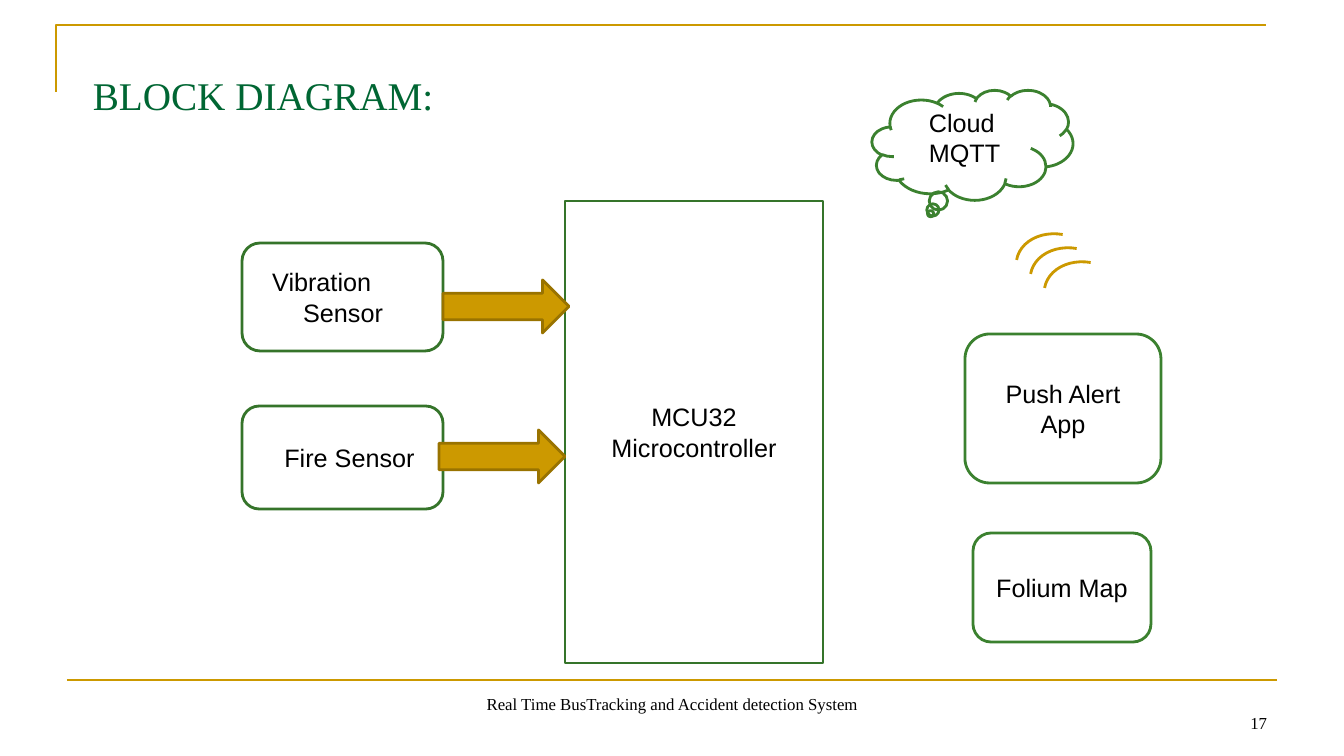
"""Build the block diagram slide of a bus tracking and accident detection system."""
from dataclasses import dataclass

from lxml import etree
from pptx import Presentation
from pptx.dml.color import RGBColor
from pptx.enum.shapes import MSO_CONNECTOR, MSO_SHAPE
from pptx.enum.text import MSO_ANCHOR, PP_ALIGN
from pptx.oxml.ns import qn
from pptx.util import Pt

SCALE = 914400 / 100.8
SLIDE_SIZE = (1344, 756)
LEFT, CENTER, RIGHT = PP_ALIGN.LEFT, PP_ALIGN.CENTER, PP_ALIGN.RIGHT
TOP, BOTTOM = MSO_ANCHOR.TOP, MSO_ANCHOR.BOTTOM


@dataclass(frozen=True)
class Theme:
    gold: str = "CC9900"
    dark_gold: str = "997300"
    green: str = "35742A"
    light_green: str = "3B812F"
    title: str = "006633"
    text: str = "000000"
    white: str = "FFFFFF"
    sans: str = "Arial"
    serif: str = "Times New Roman"
    title_size: int = 28
    label_size: int = 18
    footer_size: int = 12
    thin: float = 1.5
    thick: float = 2


THEME = Theme()
LABEL_STYLE = (THEME.sans, THEME.label_size, THEME.text)
TITLE_STYLE = (THEME.serif, THEME.title_size, THEME.title)
FOOTER_STYLE = (THEME.serif, THEME.footer_size, THEME.text)

FRAME = [(56, 92), (56, 25), (1266, 25)]
FOOTER_RULE = (67, 680, 1277, 680)

ROUNDED = MSO_SHAPE.FLOWCHART_ALTERNATE_PROCESS
BLOCKS = [
    (MSO_SHAPE.RECTANGLE, (565, 201, 258, 462), THEME.white, THEME.green,
     [("MCU32 Microcontroller", CENTER, 0)]),
    (ROUNDED, (242, 243, 201, 108), THEME.white, THEME.green,
     [("Vibration", LEFT, 15), ("Sensor", LEFT, 46)]),
    (ROUNDED, (242, 406, 201, 103), THEME.white, THEME.green,
     [("Fire Sensor", CENTER, 14)]),
    (ROUNDED, (965, 334, 196, 149), None, THEME.light_green,
     [("Push Alert", CENTER, 0), ("App", CENTER, 0)]),
    (ROUNDED, (973, 533, 178, 109), None, THEME.light_green,
     [("Folium Map", CENTER, 0)]),
    (MSO_SHAPE.CLOUD_CALLOUT, (872, 90, 201, 110), None, THEME.light_green, []),
]

ARROW_SIZE = (126, 53)
ARROW_CORNERS = [(443, 280), (439, 430)]

SIGNAL_BOX = (1024, 226, 66, 82)
SIGNAL_STEP, SIGNAL_COUNT, SIGNAL_ROTATION = 14, 3, 280

TEXTS = [
    ((83, 66, 509, 57), TOP, TITLE_STYLE, [("BLOCK DIAGRAM:", LEFT, 0)]),
    ((919, 102, 448, 48), TOP, LABEL_STYLE, [("Cloud", LEFT, 0), ("MQTT", LEFT, 0)]),
    ((460, 688, 425, 31), BOTTOM, FOOTER_STYLE,
     [("Real Time BusTracking and Accident detection System", CENTER, 0)]),
    ((964, 688, 313, 50), BOTTOM, FOOTER_STYLE, [("17", RIGHT, 0)]),
]


def px(value):
    return round(value * SCALE)


def place(box):
    return [px(value) for value in box]


def style_line(line, color, width):
    line.color.rgb = RGBColor.from_string(color)
    line.width = Pt(width)


def style_shape(shape, fill, line, width=THEME.thick):
    shape.shadow.inherit = False
    if fill:
        shape.fill.solid()
        shape.fill.fore_color.rgb = RGBColor.from_string(fill)
    else:
        shape.fill.background()
    style_line(shape.line, line, width)


def write_text(frame, lines, style, anchor):
    name, size, color = style
    frame.word_wrap = True
    frame.vertical_anchor = anchor
    for index, (text, alignment, indent) in enumerate(lines):
        paragraph = frame.add_paragraph() if index else frame.paragraphs[0]
        paragraph.alignment = alignment
        if indent:
            paragraph._p.get_or_add_pPr().set("marL", str(px(indent)))
        run = paragraph.add_run()
        run.text = text
        run.font.name = name
        run.font.size = Pt(size)
        run.font.color.rgb = RGBColor.from_string(color)


def add_rules(shapes):
    points = [(px(x), px(y)) for x, y in FRAME]
    builder = shapes.build_freeform(*points[0], scale=1.0)
    builder.add_line_segments(points[1:], close=False)
    style_shape(builder.convert_to_shape(), None, THEME.gold, THEME.thin)

    rule = shapes.add_connector(MSO_CONNECTOR.STRAIGHT, *place(FOOTER_RULE))
    style_line(rule.line, THEME.gold, THEME.thin)
    etree.SubElement(rule._element.spPr, qn("a:effectLst"))


def add_blocks(shapes):
    for kind, box, fill, line, lines in BLOCKS:
        shape = shapes.add_shape(kind, *place(box))
        style_shape(shape, fill, line)
        write_text(shape.text_frame, lines, LABEL_STYLE, MSO_ANCHOR.MIDDLE)


def add_arrows(shapes):
    for corner in ARROW_CORNERS:
        arrow = shapes.add_shape(MSO_SHAPE.RIGHT_ARROW, *place(corner + ARROW_SIZE))
        style_shape(arrow, THEME.gold, THEME.dark_gold)


def add_signal(shapes):
    left, top, width, height = SIGNAL_BOX
    for index in range(SIGNAL_COUNT):
        offset = index * SIGNAL_STEP
        box = (left + offset, top + offset, width, height)
        arc = shapes.add_shape(MSO_SHAPE.ARC, *place(box))
        arc.rotation = SIGNAL_ROTATION
        style_shape(arc, None, THEME.gold)


def add_texts(shapes):
    for box, anchor, style, lines in TEXTS:
        write_text(shapes.add_textbox(*place(box)).text_frame, lines, style, anchor)


def main():
    presentation = Presentation()
    presentation.slide_width, presentation.slide_height = place(SLIDE_SIZE)
    slide = presentation.slides.add_slide(presentation.slide_layouts[6])
    for add_part in (add_rules, add_blocks, add_arrows, add_signal, add_texts):
        add_part(slide.shapes)
    presentation.save("out.pptx")


if __name__ == "__main__":
    main()
